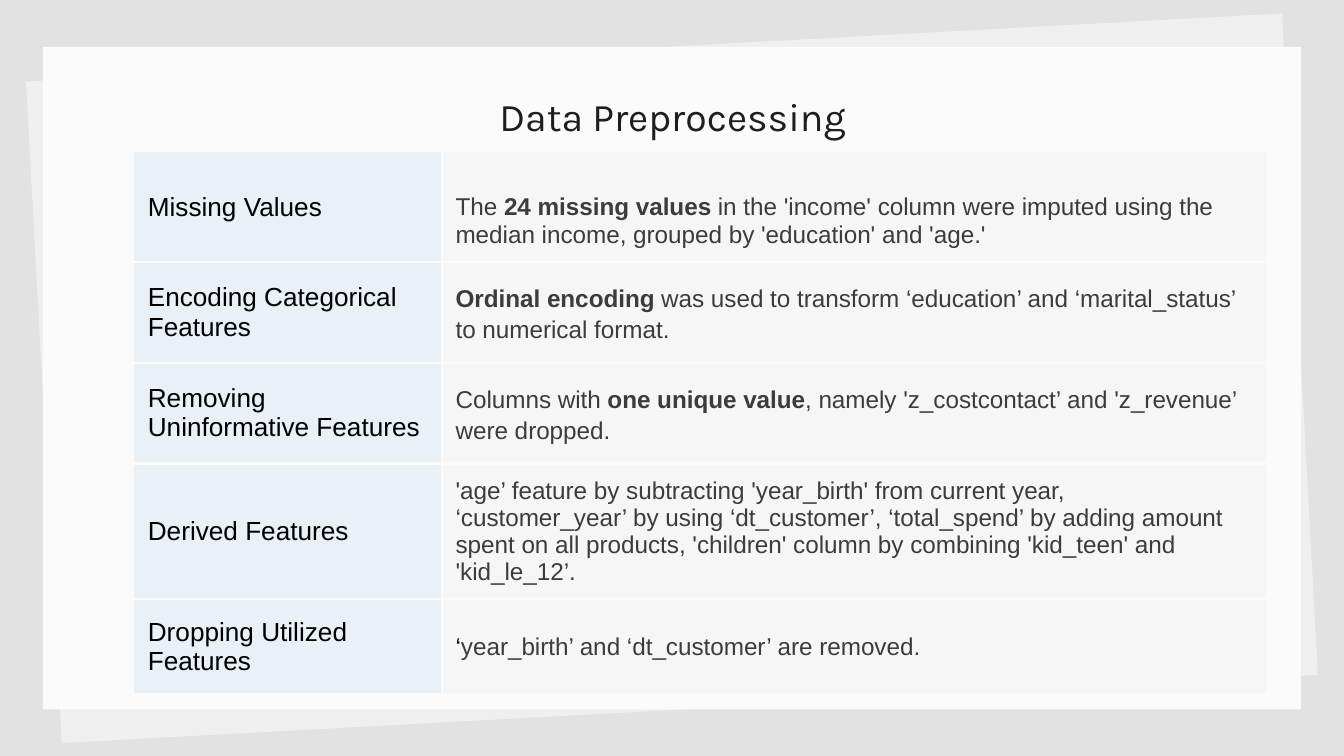
from typing import NamedTuple

from lxml import etree
from pptx import Presentation
from pptx import util as u
from pptx.dml import color
from pptx.enum import shapes, text
from pptx.oxml import ns

PALE = "FBFBFB"
INK = "3C3C3C"
BLACK = "000000"


class Run(NamedTuple):
    words: str
    bold: bool = False
    hue: str = INK
    size: float = 13
    font: str = "Arial"


class Step(NamedTuple):
    name: str
    paras: list[list[Run]]
    high: float
    lead: float = 1.0
    top: float = 0.1


class Panel(NamedTuple):
    hue: str
    turn: float


PANELS = [Panel("EFEFEF", -3.1), Panel(PALE, 0)]

STEPS = [
    Step("Missing Values", [[
        Run("The "),
        Run("24 missing values ", True),
        Run("in the 'income' column were imputed using the median income, "
            "grouped by 'education' and 'age.'"),
    ]], 0.82, top=0.31),
    Step("Encoding Categorical Features", [[
        Run("Ordinal encoding ", True),
        Run("was used to transform ‘education’ and ‘marital_status’ "
            "to numerical format."),
    ]], 0.75, lead=1.15),
    Step("Removing Uninformative Features", [[
        Run("Columns with "),
        Run("one unique value", True),
        Run(", namely 'z_costcontact’ and 'z_revenue’ were dropped."),
    ]], 0.75, lead=1.15),
    Step("Derived Features", [
        [Run("'age’ feature by subtracting 'year_birth' from current year,")],
        [Run("‘customer_year’ by using ‘dt_customer’, ‘total_spend’ by adding "
             "amount spent on all products, 'children' column by combining "
             "'kid_teen' and 'kid_le_12’.")],
    ], 0.82),
    Step("Dropping Utilized Features", [[
        Run("‘", hue=BLACK),
        Run("year_birth’ and ‘dt_customer’ are removed."),
    ]], 0.71),
]


def rgb(code: str) -> color.RGBColor:
    return color.RGBColor.from_string(code)


def paint(item, code: str) -> None:
    item.fill.solid()
    item.fill.fore_color.rgb = rgb(code)


def write(para, runs: list[Run]) -> None:
    for part in runs:
        run = para.add_run()
        run.text = part.words
        run.font.name = part.font
        run.font.size = u.Pt(part.size)
        run.font.bold = part.bold
        run.font.color.rgb = rgb(part.hue)


def edge(cell, sides: str) -> None:
    props = cell._tc.get_or_add_tcPr()
    for spot, side in enumerate("LRTB"):
        line = etree.Element(ns.qn(f"a:ln{side}"), w=str(u.Pt(1.5)))
        if side in sides:
            fill = etree.SubElement(line, ns.qn("a:solidFill"))
            etree.SubElement(fill, ns.qn("a:srgbClr"), val=PALE)
        else:
            etree.SubElement(line, ns.qn("a:noFill"))
        props.insert(spot, line)


def fill_cell(cell, paras: list[list[Run]], back: str, sides: str,
              lead: float = 1.0, top: float = 0.1) -> None:
    cell.vertical_anchor = text.MSO_ANCHOR.MIDDLE
    cell.margin_left = cell.margin_right = cell.margin_bottom = u.Inches(0.1)
    cell.margin_top = u.Inches(top)
    frame = cell.text_frame
    for spot, runs in enumerate(paras):
        para = frame.add_paragraph() if spot else frame.paragraphs[0]
        para.line_spacing = lead
        write(para, runs)
    paint(cell, back)
    edge(cell, sides)


def add_panel(slide, panel: Panel) -> None:
    shape = slide.shapes.add_shape(
        shapes.MSO_SHAPE.RECTANGLE,
        u.Inches(0.32), u.Inches(0.35), u.Inches(9.36), u.Inches(4.93))
    shape.shadow.inherit = False
    shape.line.fill.background()
    shape.rotation = panel.turn
    paint(shape, panel.hue)


def set_title(slide, words: str) -> None:
    title = slide.shapes.title
    title.left, title.top = u.Inches(0.79), u.Inches(0.59)
    title.width, title.height = u.Inches(8.43), u.Inches(0.63)
    frame = title.text_frame
    frame.margin_left = frame.margin_right = u.Inches(0.1)
    frame.margin_top = frame.margin_bottom = u.Inches(0.1)
    frame.vertical_anchor = text.MSO_ANCHOR.TOP
    frame.auto_size = text.MSO_AUTO_SIZE.NONE
    para = frame.paragraphs[0]
    para.alignment = text.PP_ALIGN.CENTER
    write(para, [Run(words, hue="1E1E1E", size=21, font="Karla")])
    title.element.getparent().append(title.element)


def add_steps(slide, steps: list[Step]) -> None:
    high = sum(step.high for step in steps)
    table = slide.shapes.add_table(
        len(steps), 2, u.Inches(1), u.Inches(1.13),
        u.Inches(8.42), u.Inches(high)).table
    table.first_row = table.horz_banding = False
    for col, wide in zip(table.columns, (2.29, 6.13)):
        col.width = u.Inches(wide)
    for spot, (row, step) in enumerate(zip(table.rows, steps)):
        row.height = u.Inches(step.high)
        name, note = row.cells
        ends = "TB" if spot else "B"
        fill_cell(name, [[Run(step.name, hue=BLACK, size=14)]],
                  "E9F0F6", "R" + ends)
        fill_cell(note, step.paras, "F6F6F6", "L" + ends,
                  step.lead, step.top)


def main() -> None:
    deck = Presentation()
    deck.slide_width = u.Inches(10)
    deck.slide_height = deck.slide_width * 9 // 16
    slide = deck.slides.add_slide(deck.slide_layouts[5])
    paint(slide.background, "E2E2E2")
    for panel in PANELS:
        add_panel(slide, panel)
    set_title(slide, "Data Preprocessing")
    add_steps(slide, STEPS)
    deck.save("out.pptx")


if __name__ == "__main__":
    main()
